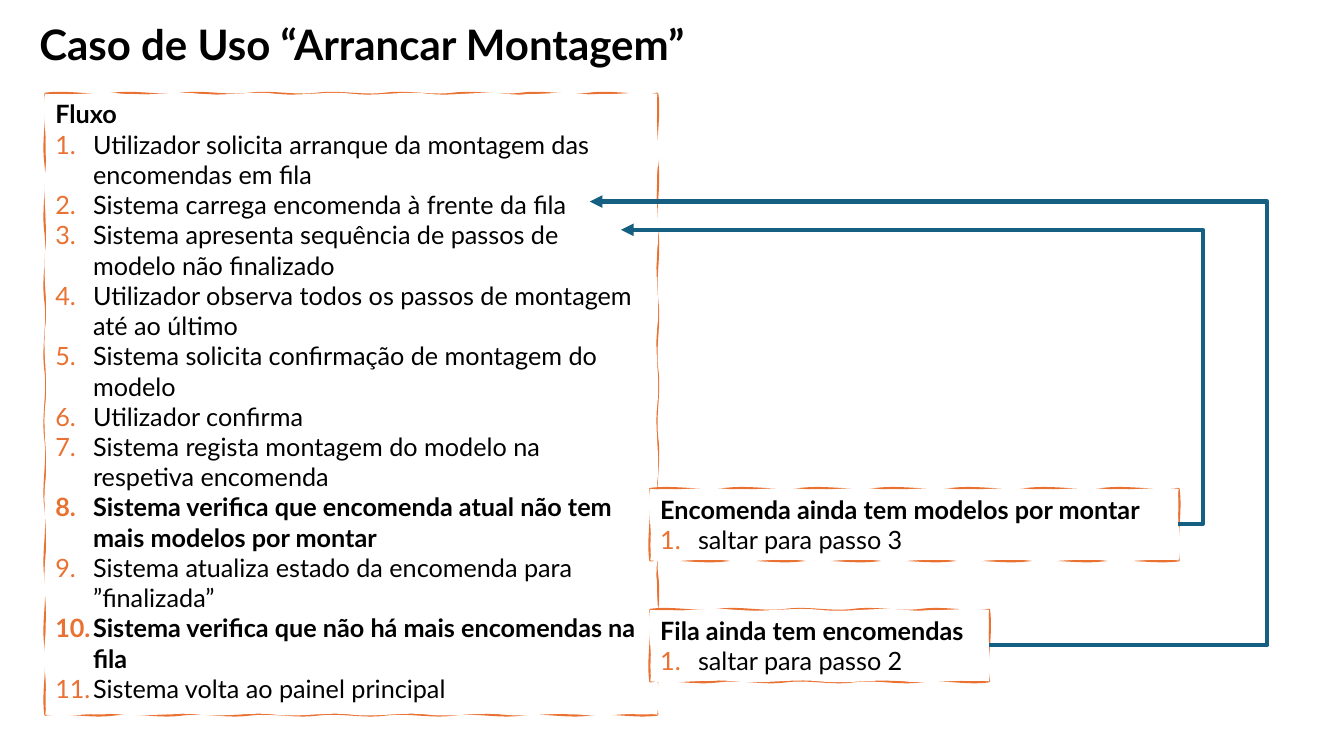
from copy import deepcopy
from itertools import pairwise

from lxml import etree
from pptx import Presentation
from pptx import util as u
from pptx.dml.color import RGBColor
from pptx.enum import shapes, text
from pptx.oxml import ns

COLORS = {"paper": "FFFFFF", "ink": "000000", "accent": "E97132", "arrow": "156082"}
FONT = "Lato"


def write_paragraph(paragraph, words, size=18, bold=False, numbered=False):
    paragraph.alignment = text.PP_ALIGN.LEFT
    if numbered:
        properties = paragraph._p.get_or_add_pPr()
        properties.set("marL", str(u.Inches(0.375)))
        properties.set("indent", str(-u.Inches(0.375)))
        bullet_color = etree.SubElement(properties, ns.qn("a:buClr"))
        etree.SubElement(bullet_color, ns.qn("a:srgbClr"), val=COLORS["accent"])
        etree.SubElement(properties, ns.qn("a:buFont"), typeface="+mj-lt")
        etree.SubElement(properties, ns.qn("a:buAutoNum"), type="arabicPeriod")
    run = paragraph.add_run()
    run.text = words
    run.font.name = FONT
    run.font.size = u.Pt(size)
    run.font.bold = bold
    run.font.color.rgb = RGBColor.from_string(COLORS["ink"])


def add_sketched_box(slide, left, top, width, height):
    corners = [(0, 0), (width, 0), (width, height), (0, height), (0, 0)]
    builder = slide.shapes.build_freeform(u.Inches(left), u.Inches(top))
    builder.add_line_segments(
        [(u.Inches(left + x), u.Inches(top + y)) for x, y in corners[1:]])
    shape = builder.convert_to_shape()
    shape.shadow.inherit = False
    shape.fill.solid()
    shape.fill.fore_color.rgb = RGBColor.from_string(COLORS["paper"])
    shape.line.color.rgb = RGBColor.from_string(COLORS["accent"])
    shape.line.width = u.Pt(1.5)

    # A wavy stroke, partly covered by a fill that waves the other way
    stroke_path = shape._element.spPr.find(".//" + ns.qn("a:path"))
    fill_path = deepcopy(stroke_path)
    stroke_path.addnext(fill_path)
    stroke_path.set("fill", "none")
    fill_path.set("stroke", "0")
    for outline, wave, step in ((stroke_path, 0.03, 0.7), (fill_path, -0.03, 0.8)):
        for line in outline.findall(ns.qn("a:lnTo")):
            outline.remove(line)
        close = outline.find(ns.qn("a:close"))
        for (x1, y1), (x2, y2) in pairwise(corners):
            length = abs(x2 - x1) + abs(y2 - y1)
            dx, dy = (x2 - x1) / length, (y2 - y1) / length
            count = max(1, round(length / step))
            for index in range(count):
                curve = etree.Element(ns.qn("a:cubicBezTo"))
                for part, offset in ((1 / 3, wave), (2 / 3, -wave), (1, 0)):
                    along = (index + part) * length / count
                    etree.SubElement(
                        curve, ns.qn("a:pt"),
                        x=str(u.Inches(x1 + dx * along + dy * offset)),
                        y=str(u.Inches(y1 + dy * along - dx * offset)))
                close.addprevious(curve)
    return shape


presentation = Presentation()
presentation.slide_width = u.Inches(13.33)
presentation.slide_height = u.Inches(7.5)
slide = presentation.slides.add_slide(presentation.slide_layouts[5])

# Title
title = slide.shapes.title
title.left, title.top = u.Inches(0.29), u.Inches(0.13)
title.width, title.height = u.Inches(12.74), u.Inches(0.61)
title.text_frame.vertical_anchor = text.MSO_ANCHOR.TOP
title.text_frame.auto_size = text.MSO_AUTO_SIZE.NONE
write_paragraph(title.text_frame.paragraphs[0], "Caso de Uso “Arrancar Montagem”",
                size=30, bold=True)

# Main flow and its alternatives: place, heading, numbered steps
flows = [
    ((0.45, 0.93, 6.07, 6.16), "Fluxo", [
        "Utilizador solicita arranque da montagem das encomendas em fila",
        "Sistema carrega encomenda à frente da fila",
        "Sistema apresenta sequência de passos de modelo não finalizado",
        "Utilizador observa todos os passos de montagem até ao último",
        "Sistema solicita confirmação de montagem do modelo",
        "Utilizador confirma",
        "Sistema regista montagem do modelo na respetiva encomenda",
        "Sistema verifica que encomenda atual não tem mais modelos por montar",
        "Sistema atualiza estado da encomenda para ”finalizada”",
        "Sistema verifica que não há mais encomendas na fila",
        "Sistema volta ao painel principal",
    ]),
    ((6.45, 4.85, 5.24, 0.71), "Encomenda ainda tem modelos por montar",
     ["saltar para passo 3"]),
    ((6.45, 6.05, 3.36, 0.71), "Fila ainda tem encomendas",
     ["saltar para passo 2"]),
]
for place, heading, steps in flows:
    frame = add_sketched_box(slide, *place).text_frame
    frame.word_wrap = True
    frame.vertical_anchor = text.MSO_ANCHOR.TOP
    write_paragraph(frame.paragraphs[0], heading, bold=True)
    for step in steps:
        write_paragraph(frame.add_paragraph(), step, numbered=True,
                        bold=step.startswith("Sistema verifica"))

# Return arrows: start, end, and the vertical lane they run along
for (start_x, start_y), (end_x, end_y), lane in (
        ((11.68, 5.2), (6.16, 2.28), 11.93), ((9.81, 6.4), (5.85, 2), 12.57)):
    arrow = slide.shapes.add_connector(
        shapes.MSO_CONNECTOR.ELBOW, u.Inches(start_x), u.Inches(start_y),
        u.Inches(end_x), u.Inches(end_y))
    arrow.line.color.rgb = RGBColor.from_string(COLORS["arrow"])
    arrow.line.width = u.Pt(3)
    properties = arrow._element.spPr
    bend = round((lane - start_x) / (end_x - start_x) * 100000)
    adjustments = properties.find(".//" + ns.qn("a:avLst"))
    etree.SubElement(adjustments, ns.qn("a:gd"), name="adj1", fmla=f"val {bend}")
    etree.SubElement(arrow.line._get_or_add_ln(), ns.qn("a:tailEnd"), type="triangle")
    etree.SubElement(properties, ns.qn("a:effectLst"))

presentation.save("out.pptx")
